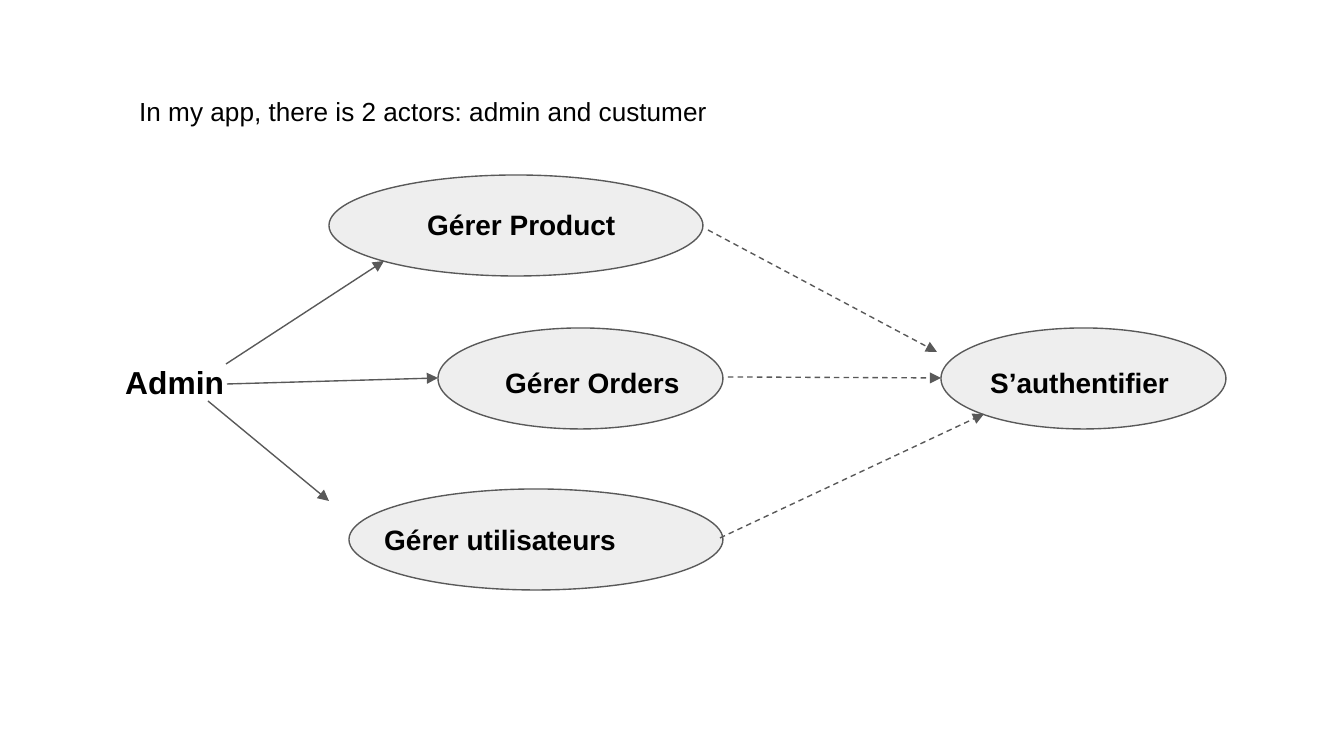
import lxml.etree
import pptx
import pptx.dml.color
import pptx.enum.dml
import pptx.enum.shapes
import pptx.enum.text
import pptx.oxml.ns
import pptx.util

PX = 914400 / 134.4
BLACK = pptx.dml.color.RGBColor(0x00, 0x00, 0x00)
GREY = pptx.dml.color.RGBColor(0x59, 0x59, 0x59)
LIGHT = pptx.dml.color.RGBColor(0xEE, 0xEE, 0xEE)

OVAL_H = 101
LABEL_W, LABEL_H = 898, 60

# Use cases: label, oval (left, top, width), label (left, top)
USE_CASES = [
    ("Gérer Product", (329, 175, 374), (414, 194)),
    ("Gérer Orders", (438, 328, 285), (492, 352)),
    ("Gérer utilisateurs", (349, 489, 374), (371, 509)),
    ("S’authentifier", (941, 328, 285), (977, 352)),
]

# Arrows: start, end
ADMIN_ARROWS = [
    ((226, 364), (384, 261)),
    ((227, 384), (438, 378)),
    ((208, 401), (329, 501)),
]
INCLUDE_ARROWS = [
    ((728, 377), (941, 378)),
    ((708, 230), (937, 352)),
    ((720, 538), (984, 414)),
]


def emu(*lengths):
    return [pptx.util.Emu(round(n * PX)) for n in lengths]


def add_text(slide, text, box, size=15, bold=True, color=BLACK, font="Arial"):
    tf = slide.shapes.add_textbox(*emu(*box)).text_frame
    tf.word_wrap = True
    tf.auto_size = pptx.enum.text.MSO_AUTO_SIZE.SHAPE_TO_FIT_TEXT
    tf.margin_left = tf.margin_right = pptx.util.Inches(0.1)
    tf.margin_top = tf.margin_bottom = pptx.util.Inches(0.1)
    r = tf.paragraphs[0].add_run()
    r.text = text
    r.font.name = font
    r.font.size = pptx.util.Pt(size)
    r.font.bold = bold
    r.font.color.rgb = color


def style_line(line):
    line.color.rgb = GREY
    line.width = pptx.util.Pt(0.75)


def add_oval(slide, left, top, width):
    sp = slide.shapes.add_shape(pptx.enum.shapes.MSO_SHAPE.OVAL,
                                *emu(left, top, width, OVAL_H))
    sp.shadow.inherit = False
    sp.fill.solid()
    sp.fill.fore_color.rgb = LIGHT
    style_line(sp.line)


def add_arrow(slide, start, end, dashed=False):
    cxn = slide.shapes.add_connector(pptx.enum.shapes.MSO_CONNECTOR.STRAIGHT,
                                     *emu(*start, *end))
    style_line(cxn.line)
    if dashed:
        cxn.line.dash_style = pptx.enum.dml.MSO_LINE.DASH
    qn = pptx.oxml.ns.qn
    ln = cxn.line._get_or_add_ln()
    lxml.etree.SubElement(ln, qn("a:tailEnd"), type="triangle")
    lxml.etree.SubElement(cxn._element.spPr, qn("a:effectLst"))


def main():
    prs = pptx.Presentation()
    prs.slide_width, prs.slide_height = emu(1344, 756)
    s = prs.slides.add_slide(prs.slide_layouts[6])

    # Introduction and actor
    add_text(s, "In my app, there is 2 actors: admin and custumer",
             (126, 82, 1050, 59), size=14, bold=False)
    add_text(s, "Admin", (112, 349, 1050, 66), size=17)

    # Use cases
    for label, oval, (left, top) in USE_CASES:
        add_oval(s, *oval)
        add_text(s, label, (left, top, LABEL_W, LABEL_H))

    # Relations
    for start, end in ADMIN_ARROWS:
        add_arrow(s, start, end)
    for start, end in INCLUDE_ARROWS:
        add_arrow(s, start, end, dashed=True)

    prs.save("out.pptx")


main()
